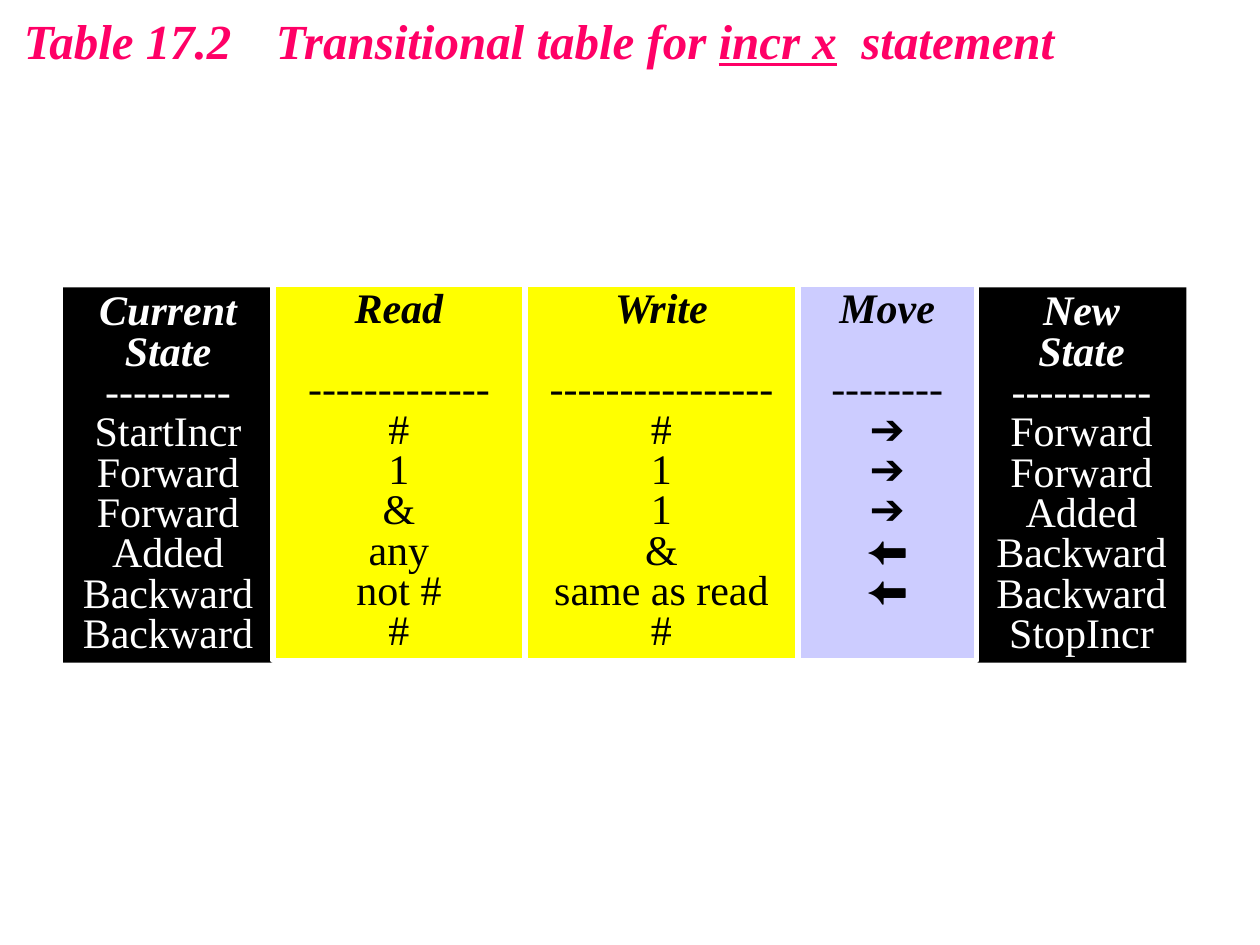
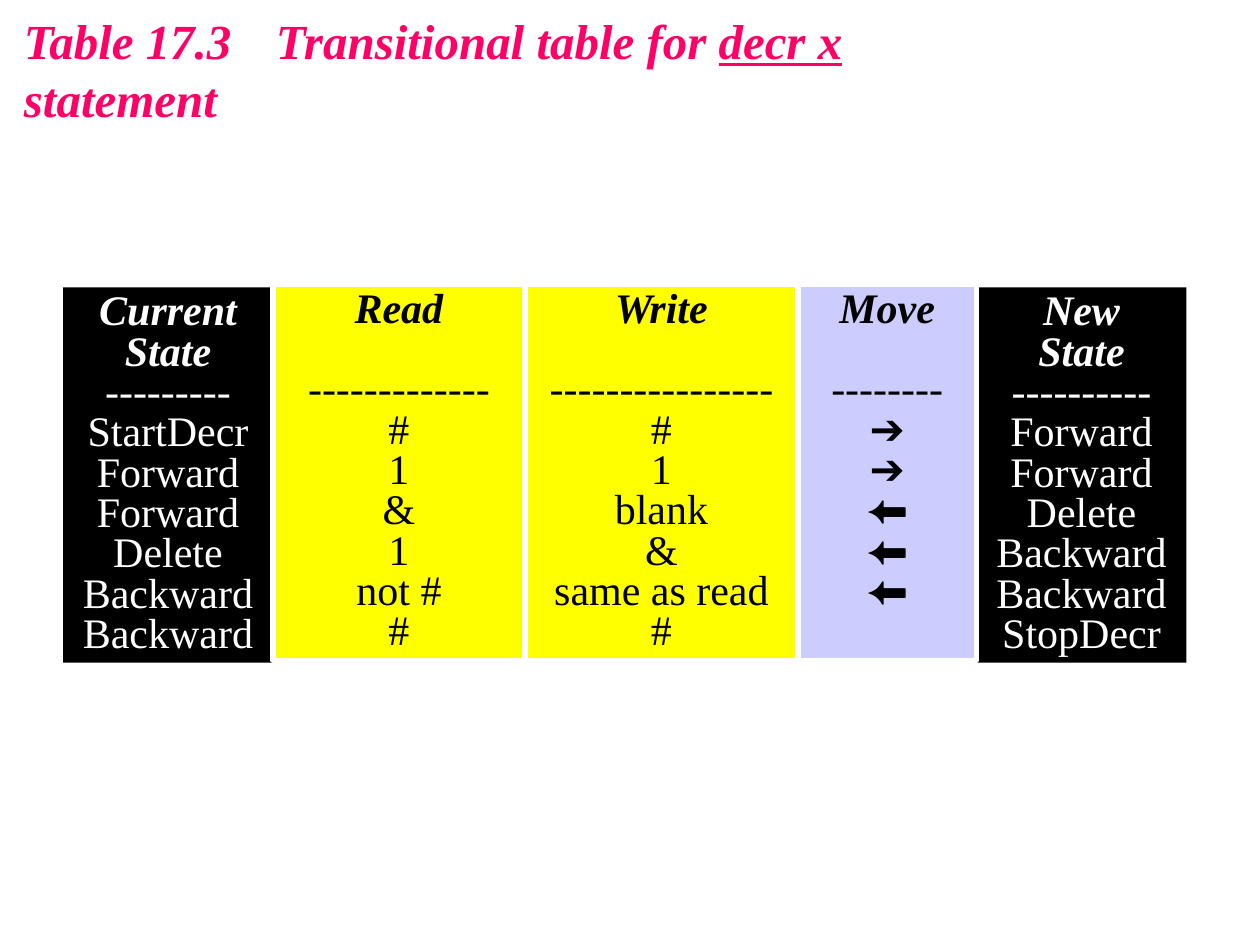
from dataclasses import dataclass

from pptx import Presentation
from pptx.dml.color import RGBColor
from pptx.enum.shapes import MSO_SHAPE
from pptx.enum.text import MSO_ANCHOR, MSO_AUTO_SIZE, PP_ALIGN
from pptx.oxml.ns import qn
from pptx.slide import Slide
from pptx.text.text import TextFrame
from pptx.util import Inches, Pt
from lxml import etree

RECTANGLE = MSO_SHAPE.RECTANGLE
TOP = MSO_ANCHOR.TOP
GROW = MSO_AUTO_SIZE.SHAPE_TO_FIT_TEXT
LEFT, CENTER = PP_ALIGN.LEFT, PP_ALIGN.CENTER

COLORS = {
    "title": "FF0066",
    "state": "000000",
    "tape": "FFFF00",
    "move": "CCCCFF",
    "light": "FFFFFF",
    "dark": "000000",
}
SERIF, SYMBOL = "Times New Roman", "Arial"
SLIDE_WIDTH, SLIDE_HEIGHT = Inches(10), Inches(7.5)
GRID_COLUMNS, GRID_ROWS = 120, 90
COLUMN_ROWS = 35.76
LINE_SPACING = 0.8
HEADING_LINES, HEADING_GAP = 2, Pt(23)
RIGHT, BACK = "➔", "⬅"


@dataclass(frozen=True)
class ColumnStyle:
    """Look of one kind of table column."""

    fill: str
    text: str
    top: float
    font: str = SERIF
    outlined: bool = True


@dataclass(frozen=True)
class TableColumn:
    """Heading, place and style of a table column."""

    heading: tuple[str, ...]
    dashes: int
    start: int
    span: int
    style: ColumnStyle


@dataclass(frozen=True)
class TransitionTable:
    """Title parts and column entries of one slide."""

    number: str
    statement: str
    entries: dict[str, tuple[str, ...]]


STATE = ColumnStyle("state", "light", 27.36, outlined=False)
TAPE = ColumnStyle("tape", "dark", 27.12)
MOVE = ColumnStyle("move", "dark", 27.12, SYMBOL)

COLUMNS = (
    TableColumn(("Current", "State"), 9, 6, 20, STATE),
    TableColumn(("New", "State"), 10, 93, 20, STATE),
    TableColumn(("Read",), 13, 26, 24, TAPE),
    TableColumn(("Write",), 16, 50, 26, TAPE),
    TableColumn(("Move",), 8, 76, 17, MOVE),
)

TABLES = (
    TransitionTable("17.2", "incr x", {
        "Current": ("StartIncr", "Forward", "Forward", "Added", "Backward", "Backward"),
        "Read": ("#", "1", "&", "any", "not #", "#"),
        "Write": ("#", "1", "1", "&", "same as read", "#"),
        "Move": (RIGHT, RIGHT, RIGHT, BACK, BACK),
        "New": ("Forward", "Forward", "Added", "Backward", "Backward", "StopIncr"),
    }),
    TransitionTable("17.3", "decr x", {
        "Current": ("StartDecr", "Forward", "Forward", "Delete", "Backward", "Backward"),
        "Read": ("#", "1", "&", "1", "not #", "#"),
        "Write": ("#", "1", "blank", "&", "same as read", "#"),
        "Move": (RIGHT, RIGHT, BACK, BACK, BACK),
        "New": ("Forward", "Forward", "Delete", "Backward", "Backward", "StopDecr"),
    }),
)


def color(name: str) -> RGBColor:
    """Look up a named colour."""
    return RGBColor.from_string(COLORS[name])


def grid_box(column: float, row: float, columns: float, rows: float) -> tuple[int, ...]:
    """Turn grid units into left, top, width and height."""
    across, down = SLIDE_WIDTH / GRID_COLUMNS, SLIDE_HEIGHT / GRID_ROWS
    return tuple(round(n) for n in (column * across, row * down, columns * across, rows * down))


def set_frame(frame: TextFrame, wrap: bool) -> None:
    """Give a text frame the shared insets and anchor."""
    frame.word_wrap = wrap
    frame.auto_size = GROW
    frame.vertical_anchor = TOP
    frame.margin_left = frame.margin_right = Inches(0.1)
    frame.margin_top = frame.margin_bottom = Inches(0.05)


def draw_title(slide: Slide, table: TransitionTable) -> None:
    """Fill the title and underline its statement."""
    title = slide.shapes.title
    title.left, title.top, title.width, title.height = grid_box(1.08, 0.36, 100.8, 6.84)
    set_frame(title.text_frame, wrap=False)
    paragraph = title.text_frame.paragraphs[0]
    paragraph.alignment = LEFT
    tabs = etree.SubElement(paragraph._p.get_or_add_pPr(), qn("a:tabLst"))
    etree.SubElement(tabs, qn("a:tab"), pos=str(Inches(2)), algn="l")
    parts = (f"Table {table.number}\tTransitional table for ", table.statement, "  statement")
    for part in parts:
        run = paragraph.add_run()
        run.text = part
        run.font.name, run.font.size = SERIF, Pt(28)
        run.font.bold = run.font.italic = True
        run.font.underline = part == table.statement
        run.font.color.rgb = color("title")


def draw_column(slide: Slide, column: TableColumn, entries: tuple[str, ...]) -> None:
    """Draw one table column with its heading, rule and entries."""
    style = column.style
    box = grid_box(column.start, style.top, column.span, COLUMN_ROWS)
    panel = slide.shapes.add_shape(RECTANGLE, *box)
    panel.shadow.inherit = False
    panel.fill.solid()
    panel.fill.fore_color.rgb = color(style.fill)
    if style.outlined:
        panel.line.color.rgb = color("light")
        panel.line.width = Pt(3)
    else:
        panel.line.fill.background()
    frame = panel.text_frame
    set_frame(frame, wrap=True)
    frame.text = "\n".join((*column.heading, "-" * column.dashes, *entries))
    heading_count = len(column.heading)
    for index, paragraph in enumerate(frame.paragraphs):
        is_heading = index < heading_count
        paragraph.alignment = CENTER
        paragraph.line_spacing = LINE_SPACING
        font = paragraph.runs[0].font
        font.name = style.font if index > heading_count else SERIF
        font.size = Pt(24)
        font.bold = font.italic = is_heading
        font.color.rgb = color(style.text)
    frame.paragraphs[0].space_after = HEADING_GAP * (HEADING_LINES - heading_count)


def main() -> None:
    """Build the transition table slides."""
    deck = Presentation()
    deck.slide_width, deck.slide_height = SLIDE_WIDTH, SLIDE_HEIGHT
    title_only = deck.slide_layouts[5]
    for table in TABLES:
        slide = deck.slides.add_slide(title_only)
        draw_title(slide, table)
        for column in COLUMNS:
            draw_column(slide, column, table.entries[column.heading[0]])
    deck.save("out.pptx")


if __name__ == "__main__":
    main()
